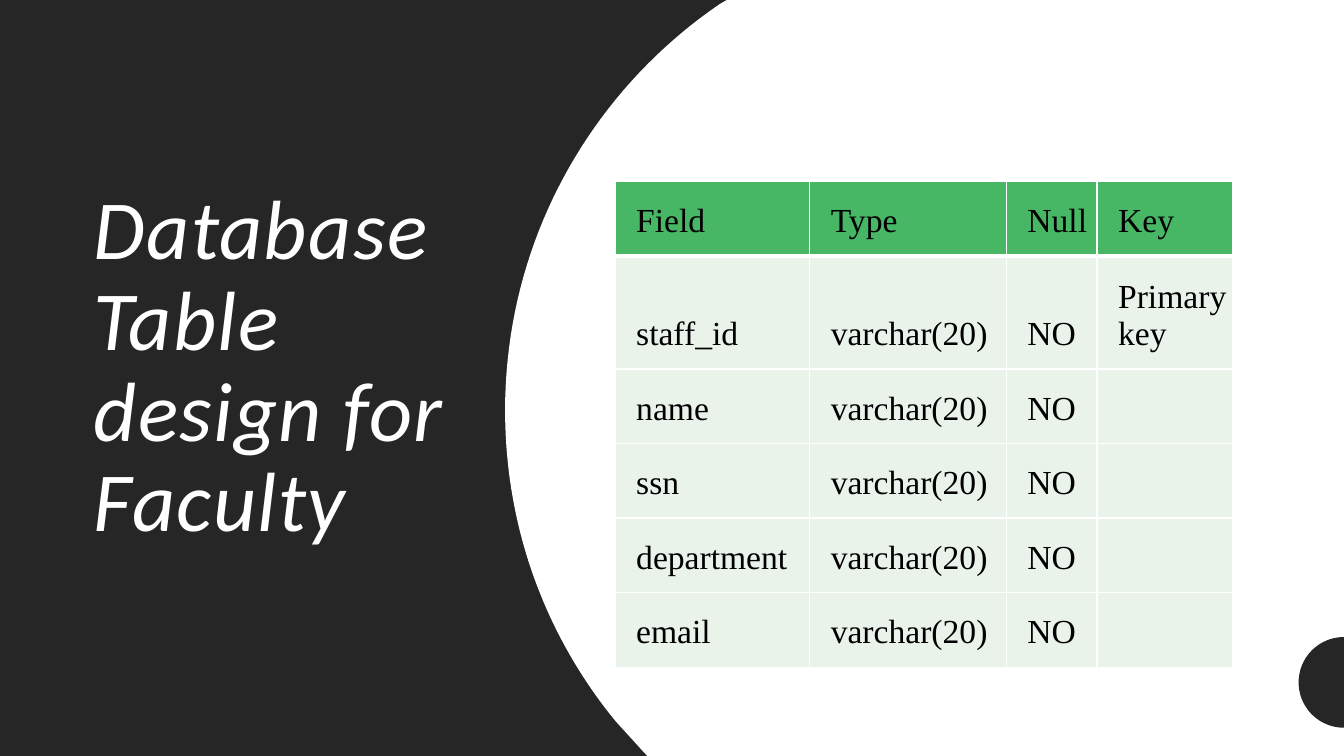
import math

from lxml import etree
from pptx import Presentation
from pptx.dml.color import RGBColor
from pptx.enum.shapes import MSO_SHAPE
from pptx.enum.text import MSO_ANCHOR
from pptx.oxml.ns import qn
from pptx.util import Inches, Pt

RECT = MSO_SHAPE.RECTANGLE
MIDDLE, BOTTOM = MSO_ANCHOR.MIDDLE, MSO_ANCHOR.BOTTOM

# Content
TITLE = "Database Table design for Faculty"
HEADER = ("Field", "Type", "Null", "Key")
FIELDS = [
    ("staff_id", "Primary key"),
    ("name", ""),
    ("ssn", ""),
    ("department", ""),
    ("email", ""),
]
ROWS = [HEADER] + [(name, "varchar(20)", "NO", key) for name, key in FIELDS]

THEME = {
    "dark": "262626", "white": "FFFFFF", "text": "000000",
    "header": "47B665", "body": "E9F3EA",
    "title_font": "Calibri", "title_size": 60,
    "table_font": "Times New Roman", "table_size": 24,
}

# Layout, in inches
WIDTH, HEIGHT = 13.33, 7.5
TITLE_BOX = (0.83, 1.16, 3.7, 4.99)
TABLE_AT = (6.1, 1.8)
COL_WIDTHS = (1.93, 1.95, 0.9, 1.35)
ROW_HEIGHT, KEY_ROW_HEIGHT = 0.74, 1.11
DOT_CENTRE, DOT_RADIUS = (WIDTH, 6.77), 0.45
# Left edge of the white area, as two Bezier curves from bottom to top
LOWER_CURVE = ((6.11, 7.16), (5.42, 6.32), (5.01, 5.25), (5.01, 4.07))
UPPER_CURVE = ((5.01, 4.07), (5.01, 2.4), (5.85, 0.92), (7.14, 0.04))
STEPS = 40


def color(key):
    return RGBColor.from_string(THEME[key])


def paint(sp, key):
    sp.fill.solid()
    sp.fill.fore_color.rgb = color(key)
    sp.line.fill.background()
    sp.shadow.inherit = False


def bezier(points):
    weights = (1, 3, 3, 1)
    for step in range(STEPS + 1):
        t = step / STEPS
        terms = [w * (1 - t) ** (3 - i) * t ** i for i, w in enumerate(weights)]
        yield tuple(sum(k * pt[axis] for k, pt in zip(terms, points)) for axis in (0, 1))


def add_outline(slide, points, key):
    points = [(Inches(x), Inches(y)) for x, y in points]
    builder = slide.shapes.build_freeform(*points[0])
    builder.add_line_segments(points[1:], close=True)
    paint(builder.convert_to_shape(), key)


def add_border(cell, side, width):
    ln = etree.SubElement(cell._tc.get_or_add_tcPr(), qn("a:" + side), w=str(Pt(width)))
    fill = etree.SubElement(ln, qn("a:solidFill"))
    etree.SubElement(fill, qn("a:srgbClr"), val=THEME["white"])


def set_font(p, kind, key):
    p.font.name = THEME[kind + "_font"]
    p.font.size = Pt(THEME[kind + "_size"])
    p.font.color.rgb = color(key)


def add_title(slide):
    tf = slide.shapes.add_textbox(*map(Inches, TITLE_BOX)).text_frame
    tf.word_wrap = True
    tf.vertical_anchor = MIDDLE
    tf.margin_right = 0
    p = tf.paragraphs[0]
    p.line_spacing = 0.9
    r = p.add_run()
    r.text = TITLE
    r._r.get_or_add_rPr().set("spc", "100")
    set_font(p, "title", "white")
    p.font.italic = True


def add_field_table(slide):
    heights = [ROW_HEIGHT] * len(ROWS)
    heights[1] = KEY_ROW_HEIGHT
    size = (sum(COL_WIDTHS), sum(heights))
    table = slide.shapes.add_table(
        len(ROWS), len(HEADER), *map(Inches, TABLE_AT + size)).table
    table.first_row = table.horz_banding = False
    for column, width in zip(table.columns, COL_WIDTHS):
        column.width = Inches(width)
    for i, (row, height) in enumerate(zip(table.rows, heights)):
        row.height = Inches(height)
        for cell, text in zip(row.cells, ROWS[i]):
            cell.margin_left, cell.margin_right = Inches(0.21), Inches(0.01)
            cell.margin_top = cell.margin_bottom = Inches(0.16)
            cell.vertical_anchor = BOTTOM
            # The rule under the header is thicker than the others
            for side, width in (("lnL", 1), ("lnR", 1),
                                ("lnT", 3 if i == 1 else 1),
                                ("lnB", 3 if i == 0 else 1)):
                add_border(cell, side, width)
            cell.fill.solid()
            cell.fill.fore_color.rgb = color("body" if i else "header")
            cell.text = text
            set_font(cell.text_frame.paragraphs[0], "table", "text")


def main():
    prs = Presentation()
    prs.slide_width, prs.slide_height = Inches(WIDTH), Inches(HEIGHT)
    slide = prs.slides.add_slide(prs.slide_layouts[6])

    # Dark backdrop and title
    backdrop = slide.shapes.add_shape(RECT, 0, 0, prs.slide_width, prs.slide_height)
    paint(backdrop, "dark")
    add_title(slide)

    # White area with a curved left edge
    corners = [(7.21, 0), (WIDTH, 0), (WIDTH, HEIGHT), (6.42, HEIGHT)]
    add_outline(slide, corners + list(bezier(LOWER_CURVE)) + list(bezier(UPPER_CURVE)), "white")

    # Half dot on the right edge
    angles = [math.pi * (0.5 + step / STEPS) for step in range(STEPS + 1)]
    add_outline(slide, [(DOT_CENTRE[0] + DOT_RADIUS * math.cos(a),
                         DOT_CENTRE[1] + DOT_RADIUS * math.sin(a)) for a in angles], "dark")

    add_field_table(slide)
    prs.save("out.pptx")


if __name__ == "__main__":
    main()
